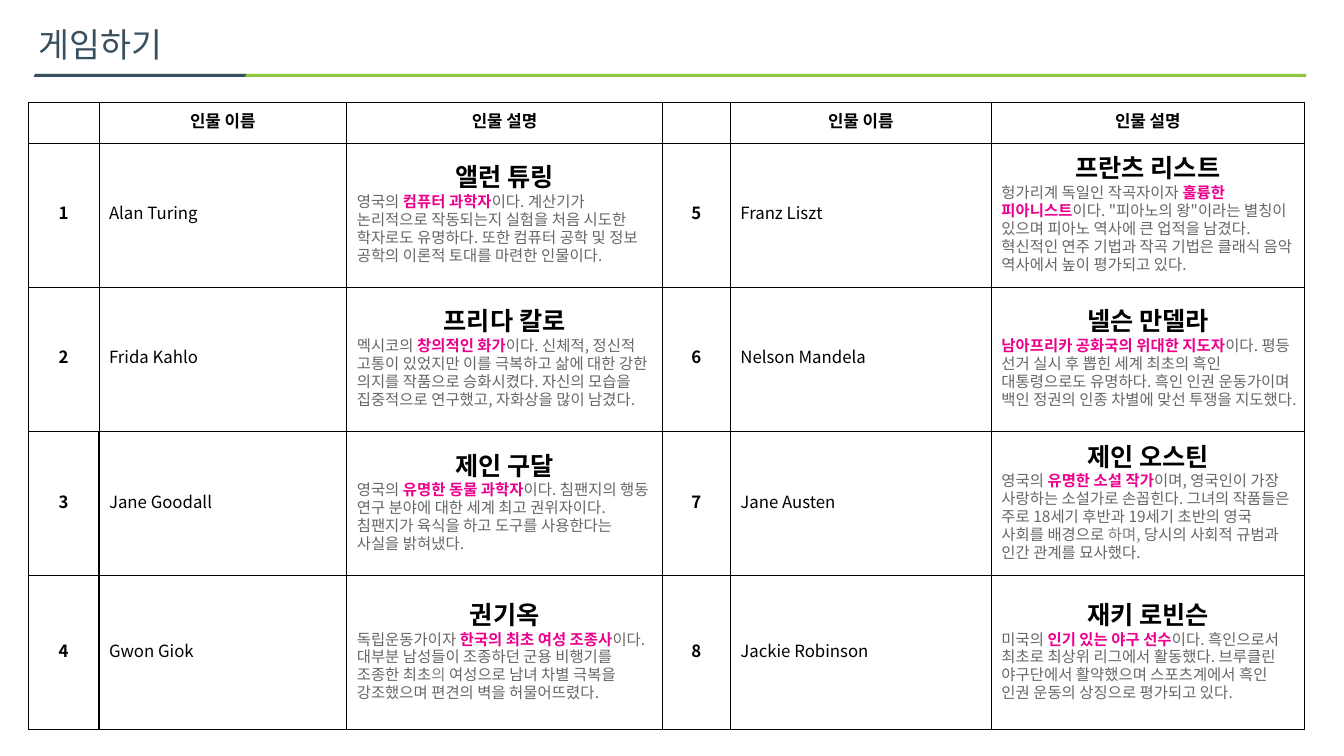
from dataclasses import dataclass
from typing import Optional

from lxml import etree
from pptx import Presentation
from pptx.dml.color import RGBColor
from pptx.enum import shapes, text
from pptx.oxml import ns
from pptx.util import Pt

FONT = "Noto Sans CJK KR"
SLATE = RGBColor(0x38, 0x4F, 0x5F)
GREEN = RGBColor(0x8D, 0xC6, 0x3F)
BLACK = RGBColor(0x00, 0x00, 0x00)
GREY = RGBColor(0x66, 0x66, 0x66)
LIGHT_GREY = RGBColor(0x7D, 0x7D, 0x7D)
PINK = RGBColor(0xED, 0x00, 0x8D)

COLUMN_WIDTHS = (50.5, 177, 225.5, 48.5, 186.5, 223.5)
ROW_HEIGHTS = (24, 103, 103, 103, 110)
HEADERS = ("", "인물 이름", "인물 설명")
PEOPLE_PER_SIDE = 4


@dataclass
class Person:
    name: str
    heading: str
    description: tuple  # (text, colour) pairs


@dataclass
class Rule:
    kind: shapes.MSO_SHAPE
    left: float
    width: float
    colour: RGBColor
    slant: Optional[float] = None


RULES = (
    Rule(shapes.MSO_SHAPE.RECTANGLE, 26, 907, GREEN),
    Rule(shapes.MSO_SHAPE.PARALLELOGRAM, 24, 152, SLATE, 0.46),
)

PEOPLE = (
    Person("Alan Turing", "앨런 튜링", (
        ("영국의 ", GREY), ("컴퓨터 과학자", PINK),
        ("이다. 계산기가 논리적으로 작동되는지 실험을 처음 시도한 학자로도 유명하다. "
         "또한 컴퓨터 공학 및 정보 공학의 이론적 토대를 마련한 인물이다.", GREY))),
    Person("Frida Kahlo", "프리다 칼로", (
        ("멕시코의 ", GREY), ("창의적인 화가", PINK),
        ("이다. 신체적, 정신적 고통이 있었지만 이를 극복하고 삶에 대한 강한 의지를 작품으로 "
         "승화시켰다. 자신의 모습을 집중적으로 연구했고, 자화상을 많이 남겼다.", GREY))),
    Person("Jane Goodall", "제인 구달", (
        ("영국의 ", GREY), ("유명한 동물 과학자", PINK),
        ("이다. 침팬지의 행동 연구 분야에 대한 세계 최고 권위자이다. "
         "침팬지가 육식을 하고 도구를 사용한다는 사실을 밝혀냈다.", GREY))),
    Person("Gwon Giok", "권기옥", (
        ("독립운동가이자 ", GREY), ("한국의 최초 여성 조종사", PINK),
        ("이다. 대부분 남성들이 조종하던 군용 비행기를 조종한 최초", GREY),
        ("의 ", LIGHT_GREY),
        ("여성으로 남녀 차별 극복을 강조했으며 편견의 벽을 허물어뜨렸다.", GREY))),
    Person("Franz Liszt", "프란츠 리스트", (
        ("헝가리계 독일인 작곡자이자", GREY), (" 훌륭한 피아니스트", PINK),
        ("이다. \"피아노의 왕\"이라는 별칭이 있으며 피아노 역사에 큰 업적을 남겼다. "
         "혁신적인 연주 기법과 작곡 기법은 클래식 음악 역사에서 높이 평가되고 있다.", GREY))),
    Person("Nelson Mandela", "넬슨 만델라", (
        ("남아프리카 공화국의 위대한 지도자", PINK),
        ("이다. 평등 선거 실시 후 뽑힌 세계 최초의 흑인 대통령으로도 유명하다. "
         "흑인 인권 운동가이며 백인 정권의 인종 차별에 맞선 투쟁을 지도했다.", GREY))),
    Person("Jane Austen", "제인 오스틴", (
        ("영국의 ", GREY), ("유명한 소설 작가", PINK),
        ("이며, 영국인이 가장 사랑하는 소설가로 손꼽힌다. 그녀의 작품들은 주로 18세기 "
         "후반과 19세기 초반의 영국 사회를 배경으로 ", GREY),
        ("하며, ", LIGHT_GREY),
        ("당시의 사회적 규범과 인간 관계를 묘사했다.", GREY))),
    Person("Jackie Robinson", "재키 로빈슨", (
        ("미국의 ", GREY), ("인기 있는 야구 선수", PINK),
        ("이다. 흑인으로서 최초로 최상위 리그에서 활동했다. 브루클린 야구단에서 활약했으며 "
         "스포츠계에서 흑인 인권 운동의 상징으로 평가되고 있다.", GREY))),
)


def add_text(paragraph, content: str, *, size: float = 12, colour: RGBColor = BLACK,
             bold: bool = False, centred: bool = False, spacing=Pt(13.5)) -> None:
    paragraph.alignment = text.PP_ALIGN.CENTER if centred else text.PP_ALIGN.LEFT
    paragraph.line_spacing = spacing
    if not content:
        return
    run = paragraph.add_run()
    run.text = content
    run.font.size = Pt(size)
    run.font.bold = bold
    run.font.color.rgb = colour
    run.font.name = FONT
    # East Asian font
    properties = run._r.get_or_add_rPr()
    etree.SubElement(properties, ns.qn("a:ea"), typeface=FONT)


def add_rule(slide, rule: Rule) -> None:
    shape = slide.shapes.add_shape(rule.kind, Pt(rule.left), Pt(52.75), Pt(rule.width), Pt(2.25))
    shape.shadow.inherit = False
    shape.fill.solid()
    shape.fill.fore_color.rgb = rule.colour
    shape.line.fill.background()
    if rule.slant is not None:
        shape.adjustments[0] = rule.slant


def format_cell(cell, row: int) -> None:
    cell.vertical_anchor = text.MSO_ANCHOR.MIDDLE
    cell.margin_left = cell.margin_right = Pt(7.2)
    cell.margin_top = cell.margin_bottom = Pt(3.6)
    properties = cell._tc.get_or_add_tcPr()
    for side in ("L", "R", "T", "B"):
        thin = row < 3 or (row == 3 and side == "T")
        line = etree.SubElement(properties, ns.qn(f"a:ln{side}"),
                                w=str(Pt(0.75 if thin else 0.96)))
        fill = etree.SubElement(line, ns.qn("a:solidFill"))
        etree.SubElement(fill, ns.qn("a:srgbClr"), val=str(BLACK))
    cell.fill.background()


def fill_person(cells: list, number: int, person: Person) -> None:
    number_cell, name_cell, description_cell = cells
    add_text(number_cell.text_frame.paragraphs[0], str(number), bold=True, centred=True)
    add_text(name_cell.text_frame.paragraphs[0], person.name)
    frame = description_cell.text_frame
    add_text(frame.paragraphs[0], person.heading, size=18, bold=True, centred=True,
             spacing=Pt(21))
    paragraph = frame.add_paragraph()
    for content, colour in person.description:
        add_text(paragraph, content, size=11, colour=colour, bold=colour == PINK,
                 spacing=Pt(12.8))


def add_people_table(slide) -> None:
    table = slide.shapes.add_table(len(ROW_HEIGHTS), len(COLUMN_WIDTHS), Pt(20.2), Pt(73),
                                   Pt(sum(COLUMN_WIDTHS)), Pt(sum(ROW_HEIGHTS))).table
    table.first_row = table.horz_banding = False
    for column, width in zip(table.columns, COLUMN_WIDTHS):
        column.width = Pt(width)
    for index, (row, height) in enumerate(zip(table.rows, ROW_HEIGHTS)):
        row.height = Pt(height)
        for cell in row.cells:
            format_cell(cell, index)
    for column in range(len(COLUMN_WIDTHS)):
        add_text(table.cell(0, column).text_frame.paragraphs[0],
                 HEADERS[column % len(HEADERS)], bold=True, centred=True)
    for index, person in enumerate(PEOPLE):
        side, row = divmod(index, PEOPLE_PER_SIDE)
        first = side * len(HEADERS)
        cells = [table.cell(row + 1, first + offset) for offset in range(len(HEADERS))]
        fill_person(cells, index + 1, person)


def main() -> None:
    presentation = Presentation()
    presentation.slide_width, presentation.slide_height = Pt(960), Pt(540)
    slide = presentation.slides.add_slide(presentation.slide_layouts[5])

    # Title and the rules below it
    for rule in RULES:
        add_rule(slide, rule)
    title = slide.shapes.title
    title.left, title.top, title.width, title.height = Pt(20.2), Pt(21.6), Pt(672.5), Pt(23.75)
    title.text_frame.vertical_anchor = text.MSO_ANCHOR.MIDDLE
    title.text_frame.auto_size = text.MSO_AUTO_SIZE.NONE
    add_text(title.text_frame.paragraphs[0], "게임하기", size=24, colour=SLATE, spacing=0.9)

    # People
    add_people_table(slide)
    presentation.save("out.pptx")


if __name__ == "__main__":
    main()
